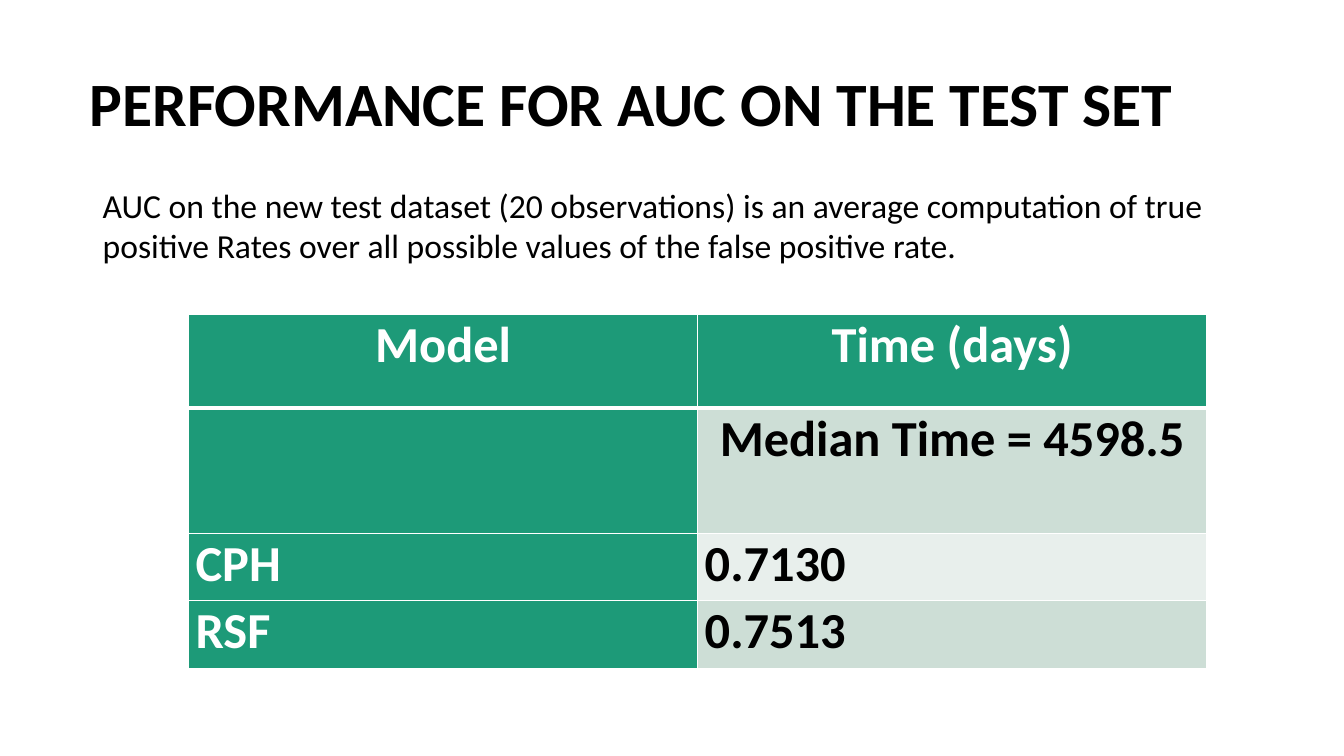
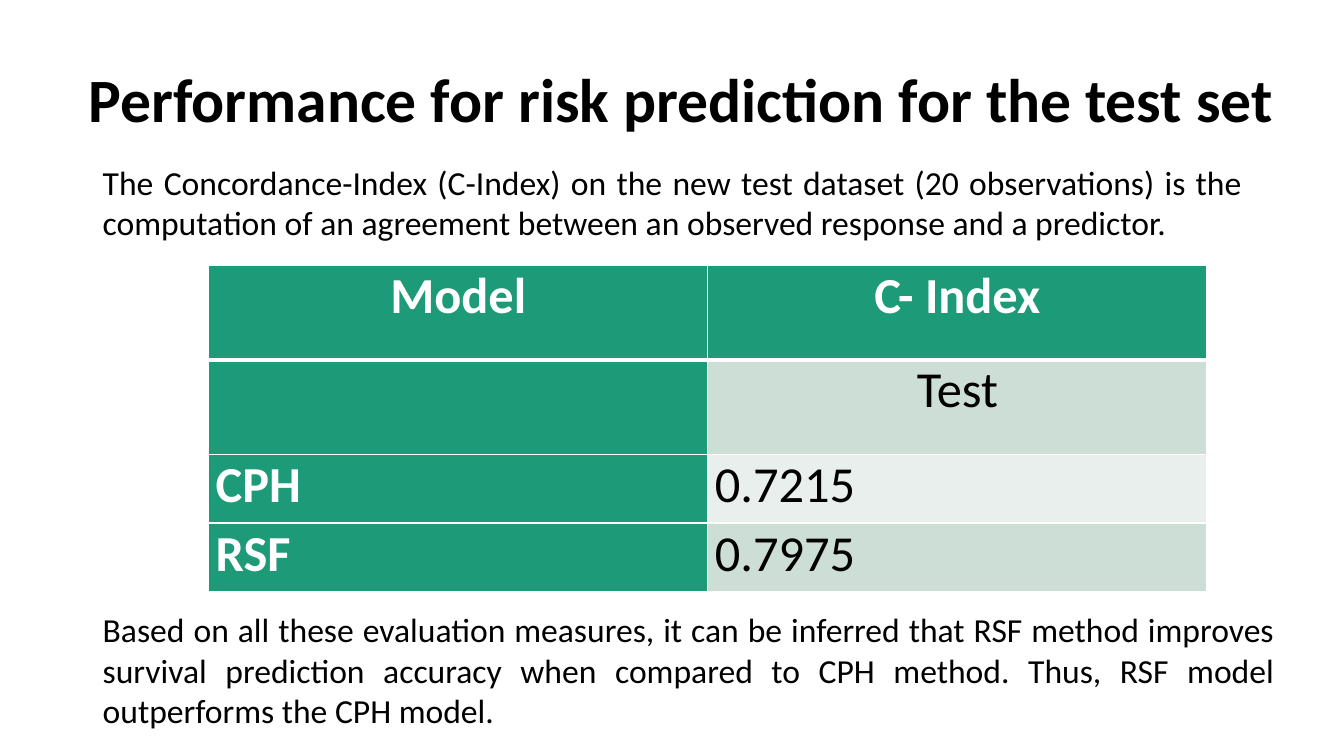
from dataclasses import dataclass

from lxml import etree
from pptx import Presentation
from pptx.dml.color import RGBColor
from pptx.enum.text import MSO_ANCHOR as Anchor, PP_ALIGN as Align
from pptx.oxml.ns import qn
from pptx.util import Inches, Pt

FONT = "Calibri"
BLACK = RGBColor(0x00, 0x00, 0x00)
WHITE = RGBColor(0xFF, 0xFF, 0xFF)
GREEN = RGBColor(0x1D, 0x9A, 0x78)
BAND_DARK = RGBColor(0xCD, 0xDE, 0xD6)
BAND_LIGHT = RGBColor(0xE8, 0xEF, 0xEC)
TITLE_SIZE, BODY_SIZE, TABLE_SIZE = 44, 24, 36
BODY_LEFT = 0.92


@dataclass(frozen=True)
class Box:
    left: float
    top: float
    width: float
    height: float

    def lengths(self):
        return tuple(map(Inches, (self.left, self.top, self.width, self.height)))


@dataclass(frozen=True)
class Body:
    box: Box
    text: str
    align: Align = Align.LEFT


@dataclass(frozen=True)
class Results:
    left: float
    top: float
    col_width: float
    row_heights: tuple[float, ...]
    rows: tuple[tuple[str, str], ...]
    bold_values: bool


@dataclass(frozen=True)
class SlideContent:
    title: str
    title_box: Box
    results: Results
    bodies: tuple[Body, ...]


def write(tf, text: str, *, size: float, color: RGBColor = BLACK,
          bold: bool = False, align: Align = Align.LEFT, spacing: float = 1.0) -> None:
    p = tf.paragraphs[0]
    p.alignment = align
    p.line_spacing = spacing
    p.font.size = Pt(size)
    if not text:
        return
    r = p.add_run()
    r.text = text
    r.font.name = FONT
    r.font.size = Pt(size)
    r.font.bold = bold
    r.font.color.rgb = color


def add_text(s, box: Box, text: str, *, bottom_inset: float = 0.05, **style):
    sp = s.shapes.add_textbox(*box.lengths())
    tf = sp.text_frame
    tf.word_wrap = True
    tf.vertical_anchor = Anchor.MIDDLE
    tf.margin_bottom = Inches(bottom_inset)
    write(tf, text, **style)
    return sp


def add_body(s, body: Body) -> None:
    sp = add_text(s, body.box, body.text, bottom_inset=0, size=BODY_SIZE, align=body.align)
    sp.fill.solid()
    sp.fill.fore_color.rgb = WHITE


def set_borders(cell, *, top: float, bottom: float) -> None:
    tc_pr = cell._tc.get_or_add_tcPr()
    for side, width in (("L", 1), ("R", 1), ("T", top), ("B", bottom)):
        ln = etree.SubElement(tc_pr, qn(f"a:ln{side}"), w=str(Pt(width)))
        fill = etree.SubElement(ln, qn("a:solidFill"))
        etree.SubElement(fill, qn("a:srgbClr"), val=str(WHITE))


def add_results(s, res: Results) -> None:
    """Draw a table with a green header row and first column, and banded values."""
    n_rows, n_cols = len(res.rows), len(res.rows[0])
    box = Box(res.left, res.top, n_cols * res.col_width, sum(res.row_heights))
    table = s.shapes.add_table(n_rows, n_cols, *box.lengths()).table
    for col in table.columns:
        col.width = Inches(res.col_width)
    for i, (height, texts) in enumerate(zip(res.row_heights, res.rows)):
        table.rows[i].height = Inches(height)
        for j, text in enumerate(texts):
            cell = table.cell(i, j)
            heading = i == 0 or j == 0
            cell.margin_left = cell.margin_right = Inches(0.07)
            cell.margin_top = cell.margin_bottom = 0
            set_borders(cell, top=3 if i == 1 else 1, bottom=3 if i == 0 else 1)
            cell.fill.solid()
            band = BAND_DARK if i % 2 else BAND_LIGHT
            cell.fill.fore_color.rgb = GREEN if heading else band
            write(cell.text_frame, text, size=TABLE_SIZE,
                  color=WHITE if heading else BLACK,
                  bold=heading or res.bold_values,
                  align=Align.CENTER if i < 2 else Align.LEFT)


def add_slide(prs, content: SlideContent) -> None:
    s = prs.slides.add_slide(prs.slide_layouts[6])
    add_text(s, content.title_box, content.title, size=TITLE_SIZE, bold=True, spacing=0.9)
    add_results(s, content.results)
    for body in content.bodies:
        add_body(s, body)


SLIDES = (
    SlideContent(
        "PERFORMANCE FOR AUC ON THE TEST SET",
        Box(0.79, 0.33, 11.5, 1.45),
        Results(1.87, 3.12, 5.05, (0.93, 1.24, 0.67, 0.67), (
            ("Model", "Time (days)"),
            ("", "Median Time = 4598.5"),
            ("CPH", "0.7130"),
            ("RSF", "0.7513"),
        ), bold_values=True),
        (Body(Box(BODY_LEFT, 1.78, 11.25, 0.86),
              "AUC on the new test dataset (20 observations) is an average computation "
              "of true positive Rates over all possible values of the false positive rate."),),
    ),
    SlideContent(
        "Performance for risk prediction for the test set",
        Box(0.78, 0.29, 12.1, 1.45),
        Results(2.07, 2.63, 4.95, (0.94, 0.94, 0.68, 0.68), (
            ("Model", "C- Index"),
            ("", "Test"),
            ("CPH", "0.7215"),
            ("RSF", "0.7975"),
        ), bold_values=False),
        (Body(Box(BODY_LEFT, 1.55, 11.5, 0.86),
              "The Concordance-Index (C-Index) on the new test dataset (20 observations) "
              "is the computation of an agreement between an observed response and "
              "a predictor.", Align.JUSTIFY),
         Body(Box(BODY_LEFT, 5.99, 11.82, 1.26),
              "Based on all these evaluation measures, it can be inferred that RSF method "
              "improves survival prediction accuracy when compared to CPH method. Thus, "
              "RSF model outperforms the CPH model.", Align.JUSTIFY)),
    ),
)


def main() -> None:
    prs = Presentation()
    prs.slide_width = Inches(13.33)
    prs.slide_height = Inches(7.5)
    for content in SLIDES:
        add_slide(prs, content)
    prs.save("out.pptx")


if __name__ == "__main__":
    main()
